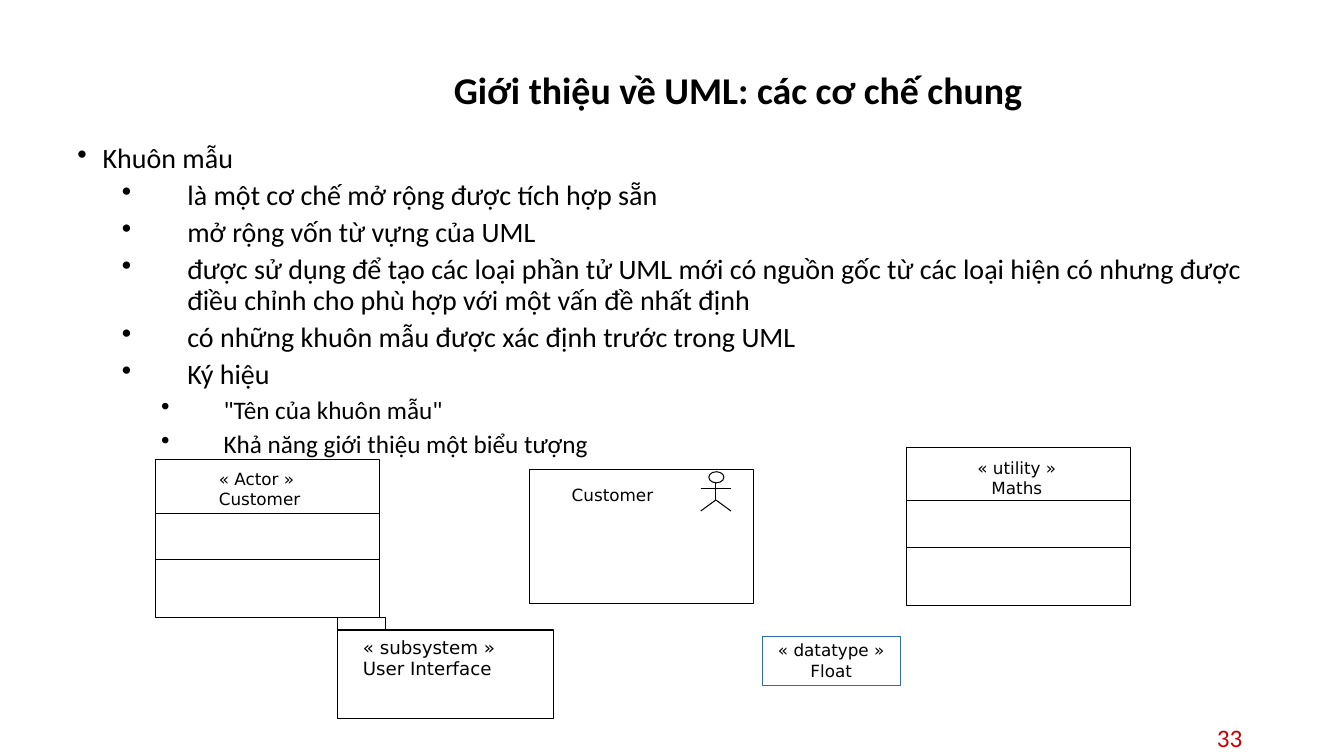
import dataclasses
import typing

import lxml.etree
import pptx
import pptx.dml.color
import pptx.enum.shapes
import pptx.enum.text
import pptx.oxml.ns
import pptx.util

Inches = pptx.util.Inches
Align = pptx.enum.text.PP_ALIGN
Anchor = pptx.enum.text.MSO_ANCHOR
Shape = pptx.enum.shapes.MSO_SHAPE
Rgb = pptx.dml.color.RGBColor


@dataclasses.dataclass(frozen=True)
class Theme:
    ink: Rgb = Rgb(0x00, 0x00, 0x00)
    red: Rgb = Rgb(0xCC, 0x00, 0x00)
    blue: Rgb = Rgb(0x2E, 0x6D, 0xA8)
    main: str = "Calibri"
    label: str = "DejaVu Sans"
    title: int = 27
    body: int = 20
    small: int = 18
    tag: int = 12
    pack: int = 13
    line: float = 0.75


@dataclasses.dataclass(frozen=True)
class Box:
    left: float
    top: float
    width: float
    height: float


@dataclasses.dataclass(frozen=True)
class Level:
    margin: float
    indent: float
    before: int
    size: int


@dataclasses.dataclass(frozen=True)
class Label:
    box: Box
    lines: tuple[str, ...]
    size: int
    align: Align = Align.LEFT
    inset: float = 0.05
    wrap: bool = False


THEME = Theme()
LEVELS = (
    Level(0.25, -0.25, 10, THEME.body),
    Level(1.09, -0.65, 5, THEME.body),
    Level(1.45, -0.62, 5, THEME.small),
)
POINTS = (
    (0, "Khuôn mẫu"),
    (1, "là một cơ chế mở rộng được tích hợp sẵn"),
    (1, "mở rộng vốn từ vựng của UML"),
    (1, "được sử dụng để tạo các loại phần tử UML mới có nguồn gốc từ các loại "
        "hiện có nhưng được điều chỉnh cho phù hợp với một vấn đề nhất định"),
    (1, "có những khuôn mẫu được xác định trước trong UML"),
    (1, "Ký hiệu"),
    (2, '"Tên của khuôn mẫu"'),
    (2, "Khả năng giới thiệu một biểu tượng"),
)
ACTOR = Box(1.54, 4.56, 2.22, 1.57)
MATHS = Box(8.99, 4.44, 2.22, 1.57)
PLAIN = (
    Box(5.25, 4.66, 2.22, 1.33),
    Box(3.35, 6.25, 2.14, 0.88),
    Box(3.35, 6.13, 0.47, 0.12),
)
FLOAT = Box(7.56, 6.31, 1.37, 0.49)
LABELS = (
    Label(Box(2.12, 4.6, 0.92, 0.6), ("« Actor »", "Customer"), THEME.tag),
    Label(Box(5.62, 4.76, 0.92, 0.3), ("Customer",), THEME.tag),
    Label(Box(3.55, 6.26, 1.45, 0.54), ("« subsystem »", "User Interface"), THEME.pack),
    Label(Box(9.63, 4.49, 0.91, 0.6), ("« utility »", "Maths"), THEME.tag, Align.CENTER),
    Label(FLOAT, ("« datatype »", "Float"), THEME.tag, Align.CENTER, 0.04, True),
)


def place(box: Box) -> tuple[int, ...]:
    return tuple(Inches(part) for part in dataclasses.astuple(box))


def add_text(slide: typing.Any, box: Box, anchor: Anchor = Anchor.TOP) -> typing.Any:
    shape = slide.shapes.add_textbox(*place(box))
    shape.text_frame.word_wrap = True
    shape.text_frame.vertical_anchor = anchor
    return shape


def fill_text(frame: typing.Any, lines: typing.Sequence[str]) -> typing.Any:
    frame.text = "\n".join(lines)
    return frame.paragraphs


def style(par: typing.Any, size: int, face: str = THEME.main,
          color: Rgb = THEME.ink, bold: bool = False) -> None:
    par.font.size = pptx.util.Pt(size)
    par.font.name = face
    par.font.color.rgb = color
    par.font.bold = bold


def add_shape(slide: typing.Any, box: Box, kind: Shape = Shape.RECTANGLE) -> None:
    shape = slide.shapes.add_shape(kind, *place(box))
    shape.shadow.inherit = False
    shape.fill.background()
    shape.line.color.rgb = THEME.ink
    shape.line.width = pptx.util.Pt(THEME.line)


def add_line(slide: typing.Any, *ends: float) -> None:
    line = slide.shapes.add_connector(
        pptx.enum.shapes.MSO_CONNECTOR.STRAIGHT, *(Inches(end) for end in ends))
    line.line.color.rgb = THEME.ink
    line.line.width = pptx.util.Pt(THEME.line)
    lxml.etree.SubElement(line._element.spPr, pptx.oxml.ns.qn("a:effectLst"))


def add_points(slide: typing.Any) -> None:
    frame = add_text(slide, Box(0.67, 1.38, 11.8, 5.8)).text_frame
    pars = fill_text(frame, [text for _, text in POINTS])
    for par, (depth, _) in zip(pars, POINTS):
        level = LEVELS[depth]
        par.level = depth
        props = par._p.get_or_add_pPr()
        props.set("marL", str(Inches(level.margin)))
        props.set("indent", str(Inches(level.indent)))
        lxml.etree.SubElement(props, pptx.oxml.ns.qn("a:buChar")).set("char", "•")
        par.line_spacing = 0.9
        par.space_before = pptx.util.Pt(level.before)
        style(par, level.size)


def add_class(slide: typing.Any, box: Box) -> None:
    add_shape(slide, box)
    for drop in (0.53, 0.99):
        add_line(slide, box.left, box.top + drop, box.left + box.width, box.top + drop)


def add_label(slide: typing.Any, label: Label) -> typing.Any:
    shape = add_text(slide, label.box)
    frame = shape.text_frame
    frame.word_wrap = label.wrap
    frame.auto_size = pptx.enum.text.MSO_AUTO_SIZE.SHAPE_TO_FIT_TEXT
    frame.margin_left = frame.margin_right = Inches(label.inset)
    frame.margin_top = frame.margin_bottom = Inches(label.inset)
    for par in fill_text(frame, label.lines):
        par.alignment = label.align
        style(par, label.size, THEME.label)
    return shape


def add_man(slide: typing.Any) -> None:
    mid, arm, hip, foot, reach = 7.1, 4.85, 4.96, 5.07, 0.15
    add_shape(slide, Box(7.03, 4.68, 0.15, 0.11), Shape.OVAL)
    add_line(slide, mid, 4.79, mid, hip)
    add_line(slide, mid - reach, arm, mid + reach, arm)
    for side in (-reach, reach):
        add_line(slide, mid, hip, mid + side, foot)


def main() -> None:
    deck = pptx.Presentation()
    deck.slide_width, deck.slide_height = Inches(13.33), Inches(7.5)
    slide = deck.slides.add_slide(deck.slide_layouts[6])

    # Page number
    frame = add_text(slide, Box(9.42, 7.14, 3, 0.36), Anchor.MIDDLE).text_frame
    par = fill_text(frame, ["33"])[0]
    par.alignment = Align.RIGHT
    style(par, THEME.small, color=THEME.red)

    # Title and bullet list
    frame = add_text(slide, Box(2.23, 0.4, 10.18, 1.02), Anchor.MIDDLE).text_frame
    par = fill_text(frame, ["Giới thiệu về UML: các cơ chế chung"])[0]
    par.alignment = Align.CENTER
    par.line_spacing = 0.9
    style(par, THEME.title, bold=True)
    add_points(slide)

    # Class boxes, plain boxes and the stick figure
    for box in (ACTOR, MATHS):
        add_class(slide, box)
    for box in PLAIN:
        add_shape(slide, box)
    add_man(slide)

    # Labels; the data type has its own frame
    for label in LABELS:
        shape = add_label(slide, label)
        if label.box == FLOAT:
            shape.line.color.rgb = THEME.blue
            shape.line.width = pptx.util.Pt(THEME.line)

    deck.save("out.pptx")


if __name__ == "__main__":
    main()
